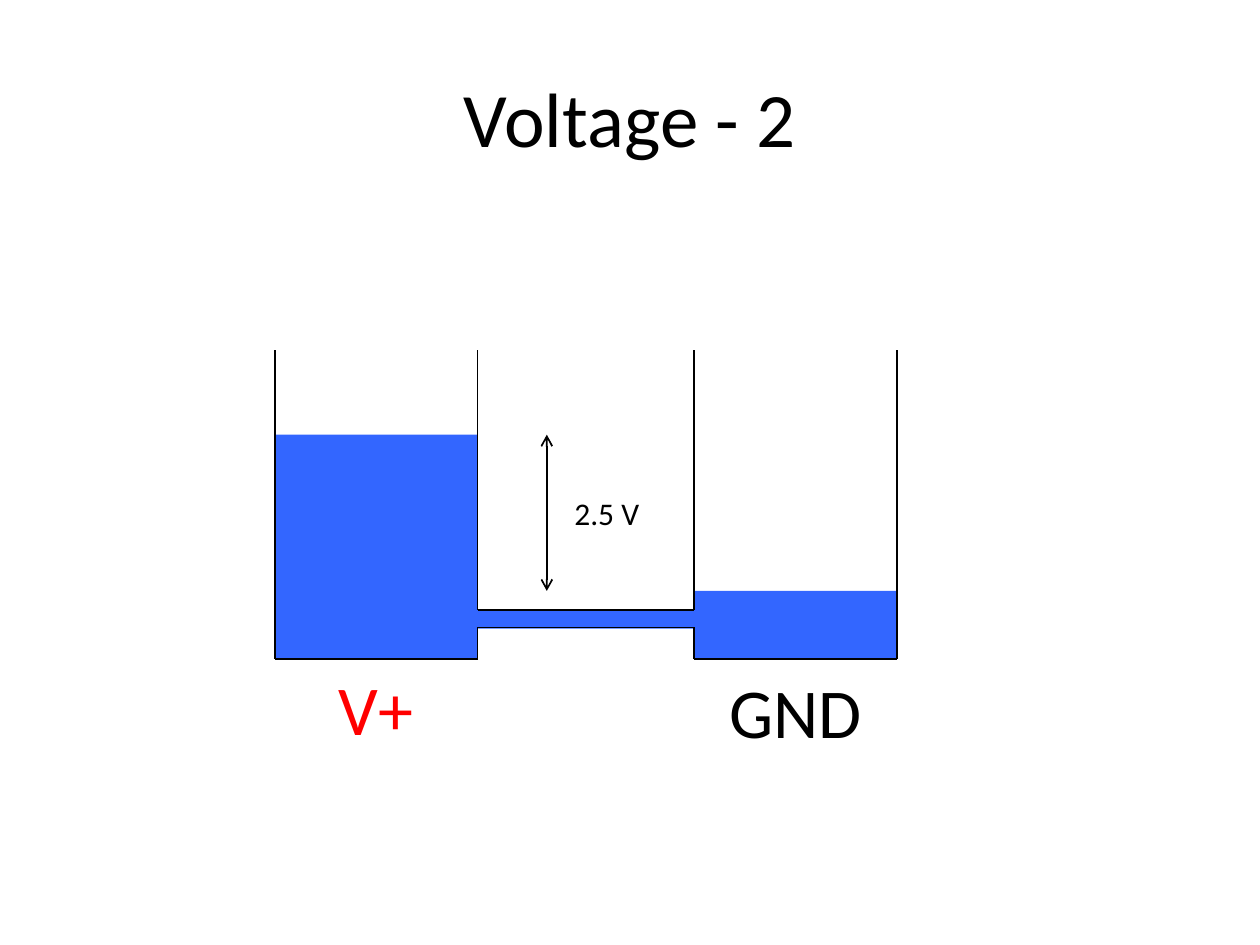
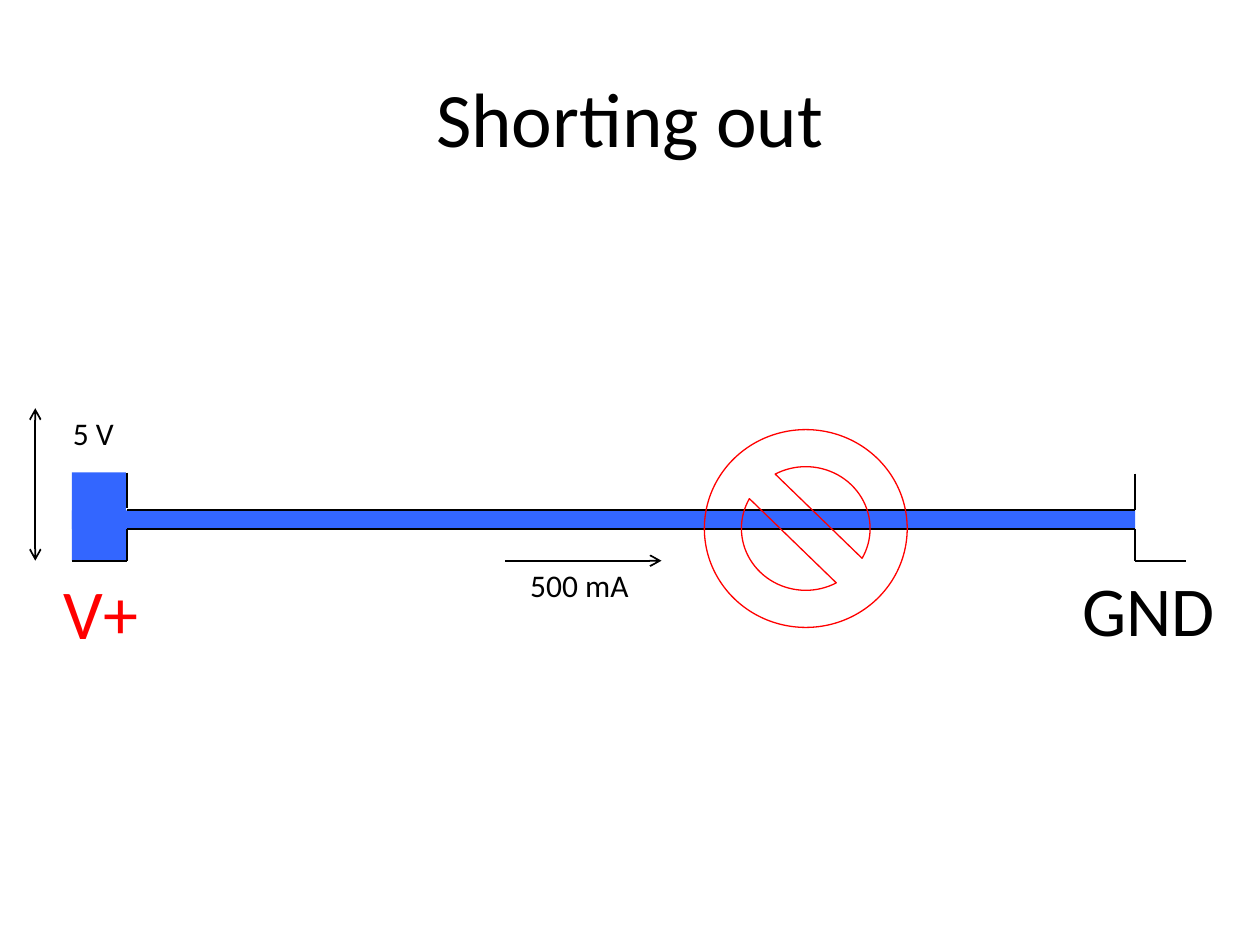
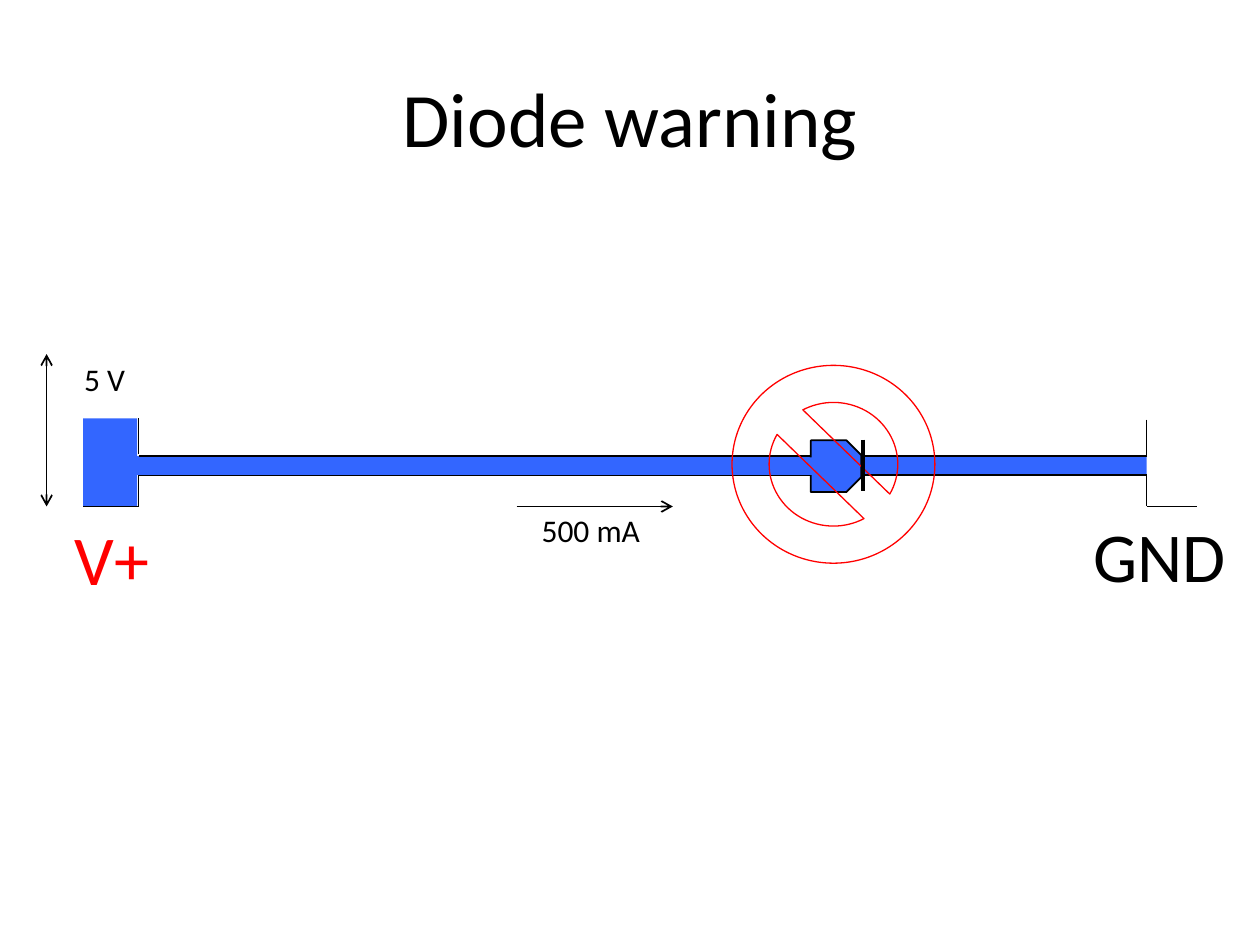
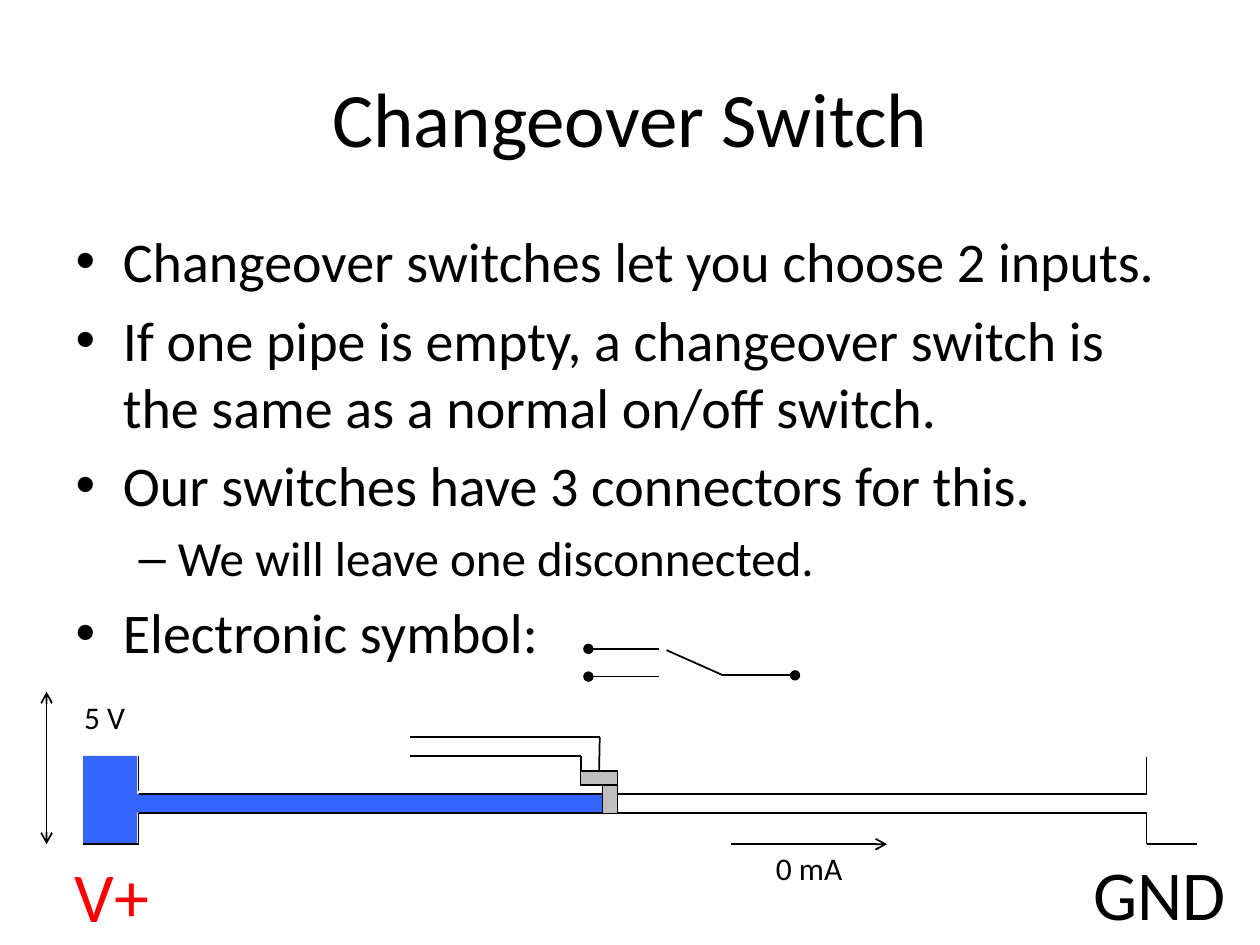
from lxml.etree import SubElement
from pptx import Presentation
from pptx.dml.color import RGBColor
from pptx.enum.shapes import MSO_CONNECTOR, MSO_SHAPE
from pptx.enum.text import MSO_ANCHOR, MSO_AUTO_SIZE, PP_ALIGN
from pptx.oxml.ns import qn
from pptx.util import Inches, Pt

# Shared style
FONT = "Calibri"
BLACK, RED, WATER, GREY = "000000", "FF0000", "3366FF", "BFBFBF"
TITLE_BOX = (0.5, 0.3, 9, 1.25)
BODY_BOX = (0.5, 1.75, 9, 4.95)
TITLE_ONLY, TITLE_AND_BODY = 5, 1
color = RGBColor.from_string


def add_text(shape, text, size=18, font_color=BLACK, align=None, level=0, wrap=True):
    """Write text as the next paragraph of a shape."""
    frame = shape.text_frame
    frame.word_wrap = wrap
    paragraph = frame.add_paragraph() if frame.text else frame.paragraphs[0]
    paragraph.level = level
    paragraph.alignment = align
    run = paragraph.add_run()
    run.text = text
    run.font.name = FONT
    run.font.size = Pt(size)
    run.font.color.rgb = color(font_color)


def add_line(slide, x1, y1, x2, y2, head=None, tail=None, width=1):
    """Draw a straight black line, with optional end marks."""
    ends = [Inches(value) for value in (x1, y1, x2, y2)]
    connector = slide.shapes.add_connector(MSO_CONNECTOR.STRAIGHT, *ends)
    connector.line.color.rgb = color(BLACK)
    connector.line.width = Pt(width)
    properties = connector._element.spPr
    outline = properties.find(qn("a:ln"))
    for tag, mark in (("a:headEnd", head), ("a:tailEnd", tail)):
        if mark:
            SubElement(outline, qn(tag), type=mark)
    SubElement(properties, qn("a:effectLst"))
    return connector


# Slides with their titles
presentation = Presentation()
presentation.slide_width = Inches(10)
presentation.slide_height = Inches(7.5)
slides = []
for title_text, layout in (
    ("Voltage - 2", TITLE_ONLY),
    ("Shorting out", TITLE_ONLY),
    ("Diode warning", TITLE_ONLY),
    ("Changeover Switch", TITLE_AND_BODY),
):
    slide = presentation.slides.add_slide(presentation.slide_layouts[layout])
    title = slide.shapes.title
    title.left, title.top, title.width, title.height = map(Inches, TITLE_BOX)
    title.text_frame.vertical_anchor = MSO_ANCHOR.MIDDLE
    add_text(title, title_text, size=44, align=PP_ALIGN.CENTER)
    slides.append(slide)
voltage, shorting, diode_warning, changeover = slides

# Bullet list of the changeover slide
body = changeover.placeholders[1]
body.left, body.top, body.width, body.height = map(Inches, BODY_BOX)
for level, text in (
    (0, "Changeover switches let you choose 2 inputs."),
    (0, "If one pipe is empty, a changeover switch is the same as a normal on/off switch."),
    (0, "Our switches have 3 connectors for this."),
    (1, "We will leave one disconnected."),
    (0, "Electronic symbol:"),
):
    add_text(body, text, size=(32, 28)[level], level=level)

# Each circuit: slide, shift right, shift down, pipe length, current, its arrow start and label box
circuits = (
    (shorting, 0, 0, 8.44, "500 mA", 4.01, 4.11, 0.99),
    (diode_warning, 0.09, -0.43, 8.44, "500 mA", 4.01, 4.11, 0.99),
    (changeover, 0.09, 2.25, 4.12, "0 mA", 5.71, 5.97, 0.73),
)

# Filled and outlined shapes: slide, kind, box, fill, outline, outline width
rectangle = MSO_SHAPE.RECTANGLE
shape_list = [
    (voltage, rectangle, (5.51, 4.69, 1.61, 0.54), WATER, None, 0),
    (voltage, rectangle, (3.22, 4.84, 2.29, 0.15), WATER, None, 0),
    (voltage, rectangle, (2.18, 3.45, 1.61, 1.78), WATER, None, 0),
]
for slide, dx, dy, pipe_length, *_ in circuits:
    for box in ((0.57 + dx, 3.75 + dy, 0.43, 0.7), (0.57 + dx, 4.05 + dy, pipe_length, 0.15)):
        shape_list.append((slide, rectangle, box, WATER, None, 0))
first_overlay = len(shape_list)
shape_list += [
    (diode_warning, MSO_SHAPE.SNIP_2_SAME_RECTANGLE, (6.43, 3.5, 0.41, 0.4), WATER, BLACK, 1),
    (diode_warning, rectangle, (0.83, 3.63, 5.84, 0.14), WATER, None, 0),
    (shorting, MSO_SHAPE.NO_SYMBOL, (5.59, 3.41, 1.61, 1.57), None, RED, 0.75),
    (diode_warning, MSO_SHAPE.NO_SYMBOL, (5.81, 2.9, 1.61, 1.57), None, RED, 0.75),
    (changeover, rectangle, (4.78, 6.23, 0.12, 0.23), GREY, BLACK, 0.75),
    (changeover, rectangle, (4.61, 6.12, 0.29, 0.11), GREY, BLACK, 0.75),
]

# Labels: slide, text, box; the large ones are centred and wrapped
labels = [
    (voltage, "2.5 V", (4.46, 3.87, 0.72, 0.4)),
    (voltage, "V+", (2.18, 5.23, 1.61, 0.77)),
    (voltage, "GND", (5.52, 5.26, 1.59, 0.77)),
]
for slide, dx, dy, _, current, _, label_left, label_width in circuits:
    labels += [
        (slide, current, (label_left + dx, 4.44 + dy, label_width, 0.4)),
        (slide, "5 V", (0.48 + dx, 3.24 + dy, 0.53, 0.4)),
        (slide, "V+", (0.16 + dx, 4.47 + dy, 1.28, 0.77)),
        (slide, "GND", (8.32 + dx, 4.45 + dy, 1.59, 0.77)),
    ]

# Draw the shapes, with the circuit lines between the water and the overlays
drawn = []
for index, (slide, kind, box, fill, outline, width) in enumerate(shape_list):
    if index == first_overlay:
        for circuit, dx, dy, _, _, arrow_start, *_ in circuits:
            for x1, y1, x2, y2 in (
                (0.57, 4.45, 1.01, 4.45),
                (9.01, 4.2, 9.01, 4.45),
                (9.01, 4.45, 9.41, 4.45),
                (1.01, 4.2, 9.01, 4.2),
                (1.01, 4.05, 9.01, 4.05),
                (1.01, 4.2, 1.01, 4.45),
                (1.01, 3.75, 1.01, 4.03),
                (9.01, 3.76, 9.01, 4.05),
            ):
                add_line(circuit, x1 + dx, y1 + dy, x2 + dx, y2 + dy)
            add_line(circuit, arrow_start + dx, 4.45 + dy, arrow_start + 1.24 + dx, 4.45 + dy,
                     tail="arrow")
            add_line(circuit, 0.28 + dx, 3.24 + dy, 0.28 + dx, 4.45 + dy,
                     head="arrow", tail="arrow")
    shape = slide.shapes.add_shape(kind, *map(Inches, box))
    shape.shadow.inherit = False
    if fill:
        shape.fill.solid()
        shape.fill.fore_color.rgb = color(fill)
    else:
        shape.fill.background()
    if outline:
        shape.line.color.rgb = color(outline)
        shape.line.width = Pt(width)
    else:
        shape.line.fill.background()
    drawn.append(shape)

# Tanks, joining pipe and level difference of the voltage slide
for left, right, inner in ((2.18, 3.79, 3.79), (5.51, 7.12, 5.51)):
    outer = left + right - inner
    add_line(voltage, outer, 2.78, outer, 5.23)
    add_line(voltage, left, 5.23, right, 5.23)
    add_line(voltage, inner, 2.78, inner, 4.84)
    add_line(voltage, inner, 4.98, inner, 5.23)
for y in (4.84, 4.98):
    add_line(voltage, 3.79, y, 5.51, y)
add_line(voltage, 4.34, 3.45, 4.34, 4.69, head="arrow", tail="arrow")

# Diode turned along the pipe, and its bar
diode = drawn[first_overlay]
diode.rotation = 90
diode.adjustments[0] = 0.293
diode.adjustments[1] = 0
add_line(diode_warning, 6.85, 3.49, 6.85, 3.9, width=2)

# Electronic symbol of the switch
for y in (5.15, 5.37):
    add_line(changeover, 4.67, y, 5.23, y, head="oval")
add_line(changeover, 5.29, 5.16, 5.74, 5.36)
add_line(changeover, 5.74, 5.36, 6.31, 5.36, tail="oval")

# Empty second pipe, ending on the gate
gate = drawn[-1]
add_line(changeover, 4.76, 5.85, 4.76, 6.12).end_connect(gate, 0)
add_line(changeover, 4.61, 6, 4.61, 6.12)
add_line(changeover, 3.25, 6, 4.61, 6)
add_line(changeover, 3.25, 5.85, 4.76, 5.85)

# Labels
for slide, text, box in labels:
    label = slide.shapes.add_textbox(*map(Inches, box))
    label.text_frame.auto_size = MSO_AUTO_SIZE.SHAPE_TO_FIT_TEXT
    if text in ("V+", "GND"):
        add_text(label, text, size=40, align=PP_ALIGN.CENTER,
                 font_color=RED if text == "V+" else BLACK)
    else:
        add_text(label, text, wrap=False)

presentation.save("out.pptx")
